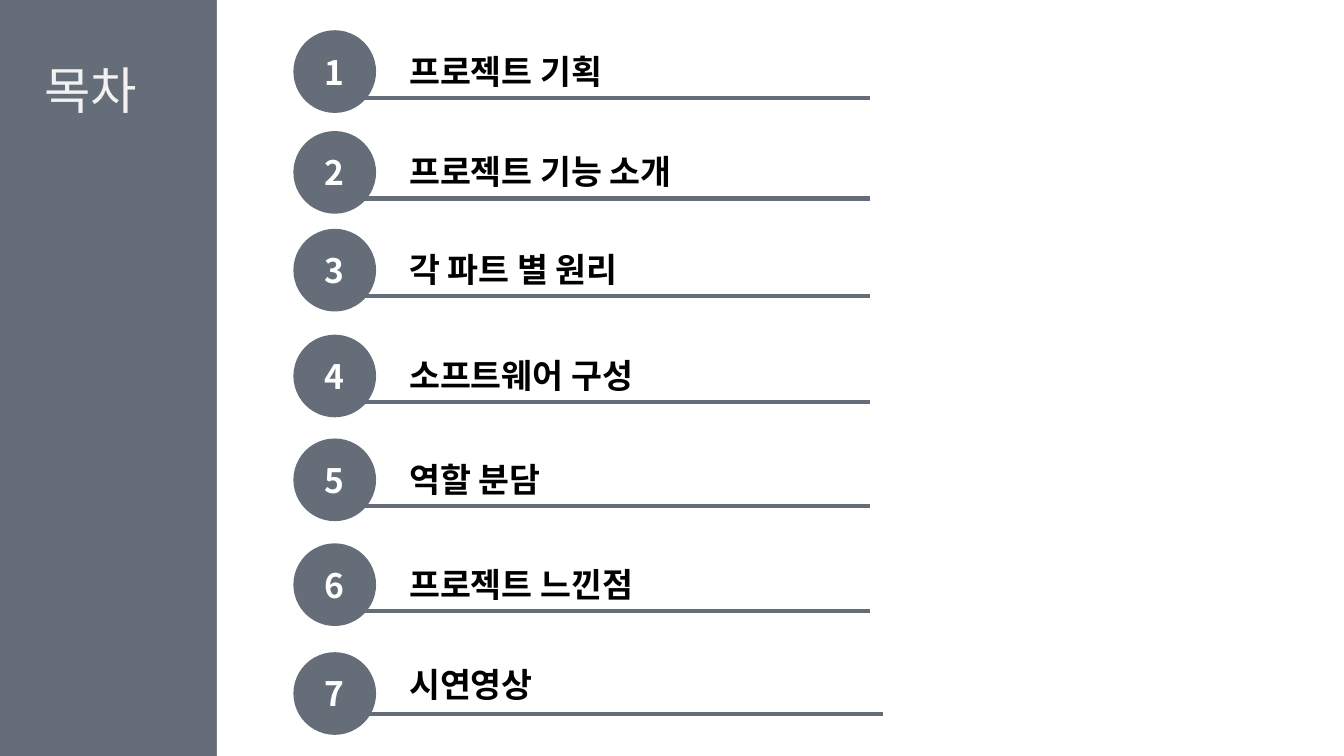
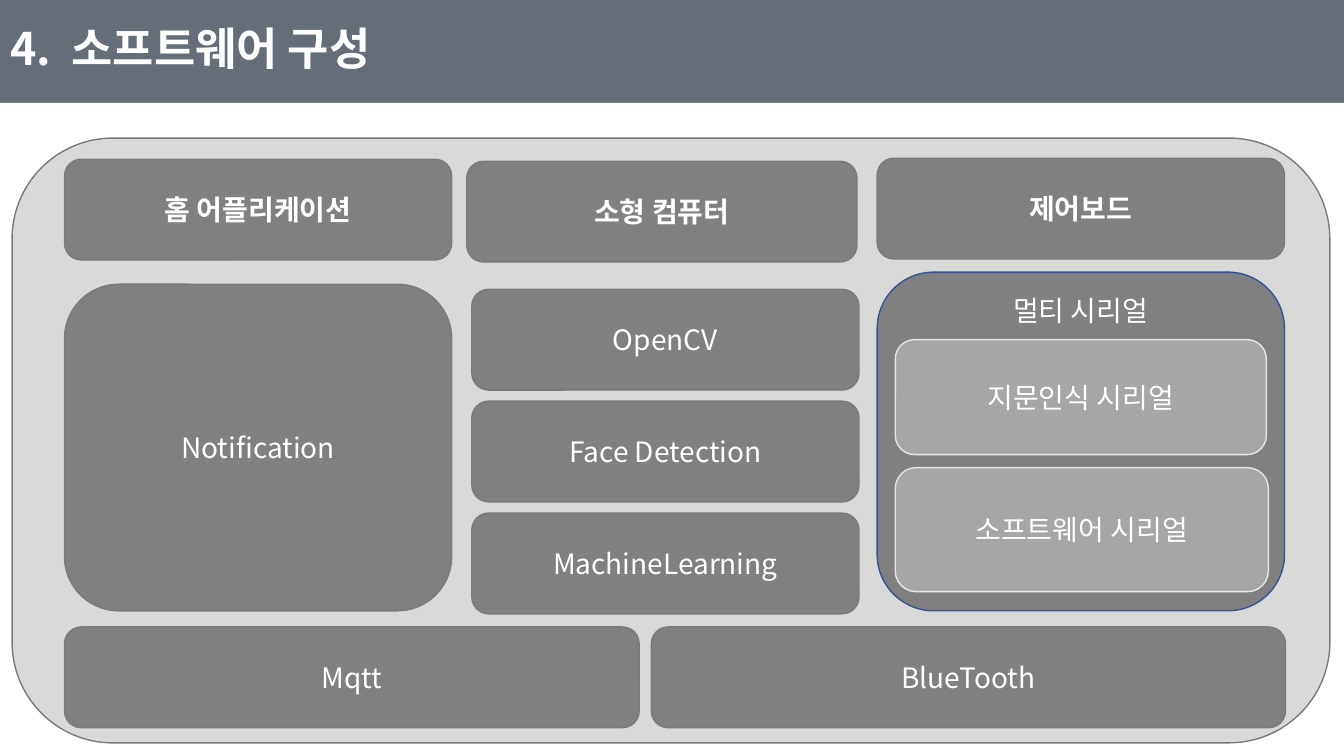
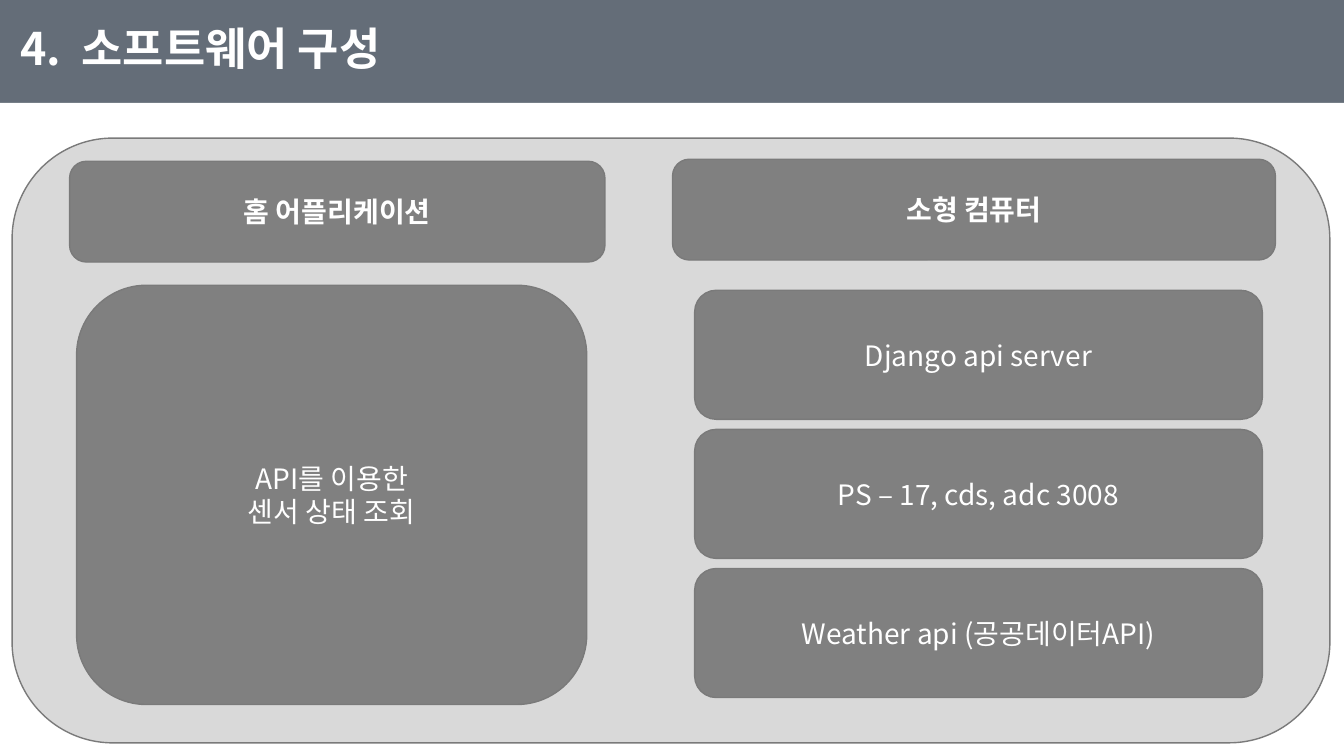
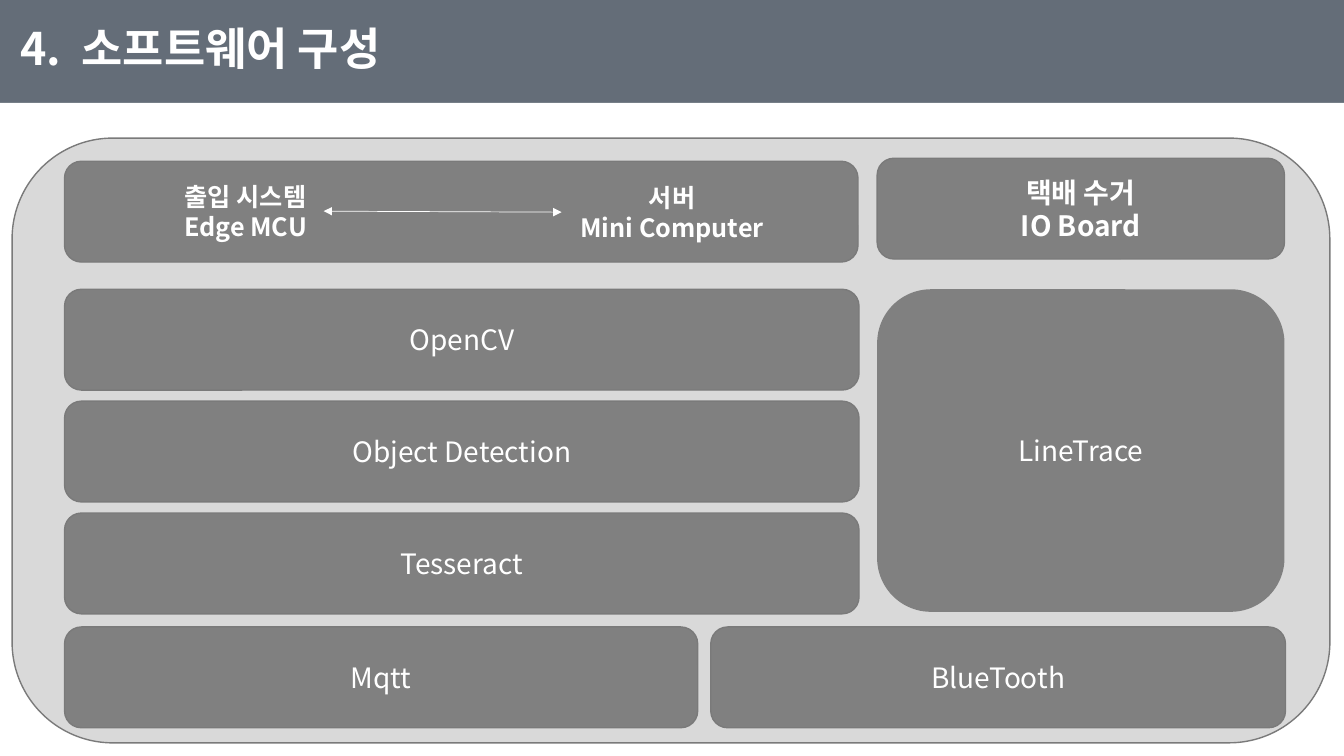
from dataclasses import dataclass

from lxml import etree
from pptx import Presentation
from pptx.dml.color import RGBColor
from pptx.enum import shapes, text
from pptx.oxml.ns import qn
from pptx.util import Inches, Pt

FONT = "Noto Sans CJK KR"
SLATE = RGBColor(0x64, 0x6D, 0x78)
WHITE = RGBColor(0xFF, 0xFF, 0xFF)
OFF_WHITE = RGBColor(0xF2, 0xF2, 0xF2)
BLACK = RGBColor(0, 0, 0)
PANEL_GREY = RGBColor(0xD9, 0xD9, 0xD9)
BLOCK_GREY = RGBColor(0x80, 0x80, 0x80)
INNER_GREY = RGBColor(0xA6, 0xA6, 0xA6)
OUTLINE_GREY = RGBColor(0x7A, 0x7A, 0x7A)
OUTLINE_LIGHT = RGBColor(0xE7, 0xE6, 0xE6)
OUTLINE_BLUE = RGBColor(0x32, 0x54, 0x91)

SLIDE_WIDTH, SLIDE_HEIGHT = 13.33, 7.5
BAND_HEIGHT = 1.02
SIDEBAR_WIDTH = 2.15
NUMBER_INDENT = 0.61
TITLE_ONLY = 5

MIDDLE = text.MSO_ANCHOR.MIDDLE
TOP = text.MSO_ANCHOR.TOP
LEFT = text.PP_ALIGN.LEFT
CENTER = text.PP_ALIGN.CENTER
RECTANGLE = shapes.MSO_SHAPE.RECTANGLE
ROUNDED = shapes.MSO_SHAPE.ROUNDED_RECTANGLE
OVAL = shapes.MSO_SHAPE.OVAL


@dataclass(frozen=True)
class Block:
    label: str
    left: float
    top: float
    width: float
    height: float = 1
    bold: bool = False
    fill: RGBColor = BLOCK_GREY
    outline: RGBColor | None = OUTLINE_GREY
    anchor: text.MSO_ANCHOR = MIDDLE


@dataclass(frozen=True)
class AgendaEntry:
    label: str
    top: float
    label_drop: float = 0.16
    rule_drop: float = 0.67
    rule_left: float = 3.32


AGENDA = [
    AgendaEntry("프로젝트 기획", 0.3),
    AgendaEntry("프로젝트 기능 소개", 1.3),
    AgendaEntry("각 파트 별 원리", 2.27),
    AgendaEntry("소프트웨어 구성", 3.32),
    AgendaEntry("역할 분담", 4.35),
    AgendaEntry("프로젝트 느낀점", 5.39),
    AgendaEntry("시연영상", 6.47, label_drop=0.08, rule_drop=0.61, rule_left=3.45),
]


def stack(labels: list[str], left: float, top: float, width: float,
          height: float, pitch: float) -> list[Block]:
    """Blocks of one size, placed below each other at an equal pitch."""
    return [Block(label, left, top + row * pitch, width, height)
            for row, label in enumerate(labels)]


HOME_BLOCKS = [
    Block("Notification", 0.64, 2.82, 3.84, 3.24),
    Block("Mqtt", 0.64, 6.22, 5.7),
    Block("BlueTooth", 6.46, 6.22, 6.29),
    *stack(["OpenCV", "Face Detection", "MachineLearning"], 4.68, 2.87, 3.84, 1, 1.11),
    Block("멀티 시리얼", 8.7, 2.7, 4.04, 3.36, outline=OUTLINE_BLUE, anchor=TOP),
    Block("지문인식 시리얼", 8.88, 3.37, 3.68, 1.14, fill=INNER_GREY, outline=OUTLINE_LIGHT),
    Block("소프트웨어 시리얼", 8.88, 4.64, 3.7, 1.23, fill=INNER_GREY, outline=OUTLINE_LIGHT),
    Block("홈 어플리케이션", 0.64, 1.58, 3.84, bold=True),
    Block("소형 컴퓨터", 4.63, 1.6, 3.87, bold=True),
    Block("제어보드", 8.7, 1.57, 4.04, bold=True),
]

SENSOR_BLOCKS = [
    Block("API를 이용한\n센서 상태 조회", 0.76, 2.83, 5.06, 4.16),
    *stack(["Django api server", "PS – 17, cds, adc 3008", "Weather api (공공데이터API)"],
           6.89, 2.88, 5.63, 1.28, 1.38),
    Block("홈 어플리케이션", 0.69, 1.6, 5.31, bold=True),
    Block("소형 컴퓨터", 6.67, 1.58, 5.98, bold=True),
]

DELIVERY_BLOCKS = [
    Block("Mqtt", 0.64, 6.22, 6.28),
    Block("BlueTooth", 7.05, 6.22, 5.7),
    *stack(["OpenCV", "Object Detection", "Tesseract"], 0.64, 2.87, 7.88, 1, 1.11),
    Block("LineTrace", 8.7, 2.87, 4.04, 3.2, outline=None),
    Block("", 0.64, 1.6, 7.87),
    Block("택배 수거\nIO Board", 8.7, 1.57, 4.04, bold=True),
]


def write(shape, content: str, size: float, color: RGBColor, bold: bool = False,
          align: text.PP_ALIGN = LEFT, anchor: text.MSO_ANCHOR = MIDDLE) -> None:
    frame = shape.text_frame
    frame.text = content
    frame.word_wrap = True
    frame.auto_size = text.MSO_AUTO_SIZE.NONE
    frame.vertical_anchor = anchor
    for paragraph in frame.paragraphs:
        paragraph.alignment = align
        font = paragraph.font
        font.size, font.bold, font.name = Pt(size), bold, FONT
        font.color.rgb = color
        # Hangul takes its typeface from the East Asian font.
        properties = paragraph._p.pPr.find(qn("a:defRPr"))
        etree.SubElement(properties, qn("a:ea"), typeface=FONT)


def add_filled(slide, kind: shapes.MSO_SHAPE, left: float, top: float, width: float,
               height: float, fill: RGBColor, outline: RGBColor | None = None):
    shape = slide.shapes.add_shape(kind, Inches(left), Inches(top), Inches(width), Inches(height))
    shape.shadow.inherit = False
    shape.fill.solid()
    shape.fill.fore_color.rgb = fill
    if outline is None:
        shape.line.fill.background()
    else:
        shape.line.color.rgb = outline
        shape.line.width = Pt(1)
    return shape


def add_label(slide, content: str, left: float, top: float, width: float, height: float,
              size: float, color: RGBColor, align: text.PP_ALIGN = LEFT):
    label = slide.shapes.add_textbox(Inches(left), Inches(top), Inches(width), Inches(height))
    write(label, content, size, color, bold=True, align=align)
    return label


def add_line(slide, start: tuple[float, float], end: tuple[float, float],
             color: RGBColor, width: float):
    line = slide.shapes.add_connector(
        shapes.MSO_CONNECTOR.STRAIGHT, *(Inches(value) for value in (*start, *end)))
    line.line.color.rgb = color
    line.line.width = Pt(width)
    etree.SubElement(line._element.spPr, qn("a:effectLst"))
    return line


def place_title(slide, left: float, top: float, width: float, height: float):
    title = slide.shapes.title
    title.left, title.top = Inches(left), Inches(top)
    title.width, title.height = Inches(width), Inches(height)
    return title


def add_agenda_slide(presentation) -> None:
    slide = presentation.slides.add_slide(presentation.slide_layouts[TITLE_ONLY])
    add_filled(slide, RECTANGLE, SIDEBAR_WIDTH, 0, SLIDE_WIDTH - SIDEBAR_WIDTH,
               SLIDE_HEIGHT, WHITE)
    write(place_title(slide, 0.34, 0.54, 4.24, 0.71), "목차", 36, OFF_WHITE, anchor=TOP)
    for number, entry in enumerate(AGENDA, start=1):
        add_label(slide, entry.label, 3.96, entry.top + entry.label_drop, 4.8, 0.48, 24, BLACK)
        circle = add_filled(slide, OVAL, 2.91, entry.top, 0.82, 0.82, SLATE)
        write(circle, str(number), 24, WHITE, bold=True, align=CENTER)
        rule_top = entry.top + entry.rule_drop
        add_line(slide, (entry.rule_left, rule_top), (entry.rule_left + 5.31, rule_top), SLATE, 3)


def add_software_slide(presentation, blocks: list[Block], title_inset: float = 0.2):
    """Title band and rounded panel, with the given blocks on the panel."""
    slide = presentation.slides.add_slide(presentation.slide_layouts[TITLE_ONLY])
    title = place_title(slide, 0, 0, SLIDE_WIDTH, BAND_HEIGHT)
    write(title, "4.\t소프트웨어 구성", 32, WHITE, bold=True)
    title.text_frame.margin_left = Inches(title_inset)
    paragraph = title.text_frame.paragraphs[0]
    paragraph.line_spacing = 0.9
    paragraph._p.pPr.set("marL", str(Inches(NUMBER_INDENT)))
    paragraph._p.pPr.set("indent", str(-Inches(NUMBER_INDENT)))

    add_filled(slide, RECTANGLE, 0, BAND_HEIGHT, SLIDE_WIDTH, SLIDE_HEIGHT - BAND_HEIGHT, WHITE)
    add_filled(slide, ROUNDED, 0.12, 1.37, 13.07, 6, PANEL_GREY, OUTLINE_GREY)
    for block in blocks:
        shape = add_filled(slide, ROUNDED, block.left, block.top, block.width, block.height,
                           block.fill, block.outline)
        if block.label:
            write(shape, block.label, 20, WHITE, block.bold, CENTER, block.anchor)
    return slide


def add_entry_link(slide) -> None:
    """Entry system and server, joined by a double-headed arrow."""
    entry = add_label(slide, "출입 시스템\nEdge MCU", 1.66, 1.74, 1.55, 0.71, 18, WHITE, CENTER)
    server = add_label(slide, "서버\nMini Computer", 5.57, 1.75, 2.19, 0.71, 18, WHITE, CENTER)
    arrow = add_line(slide, (3.21, 2.1), (5.57, 2.11), WHITE, 0.5)
    arrow.begin_connect(entry, 3)
    arrow.end_connect(server, 1)
    outline = arrow._element.spPr.find(qn("a:ln"))
    for end in ("a:headEnd", "a:tailEnd"):
        etree.SubElement(outline, qn(end), type="triangle")


def main() -> None:
    presentation = Presentation()
    presentation.slide_width = Inches(SLIDE_WIDTH)
    presentation.slide_height = Inches(SLIDE_HEIGHT)
    background = presentation.slide_master.background.fill
    background.solid()
    background.fore_color.rgb = SLATE

    add_agenda_slide(presentation)
    add_software_slide(presentation, HOME_BLOCKS, title_inset=0.1)
    add_software_slide(presentation, SENSOR_BLOCKS)
    add_entry_link(add_software_slide(presentation, DELIVERY_BLOCKS))
    presentation.save("out.pptx")


if __name__ == "__main__":
    main()
